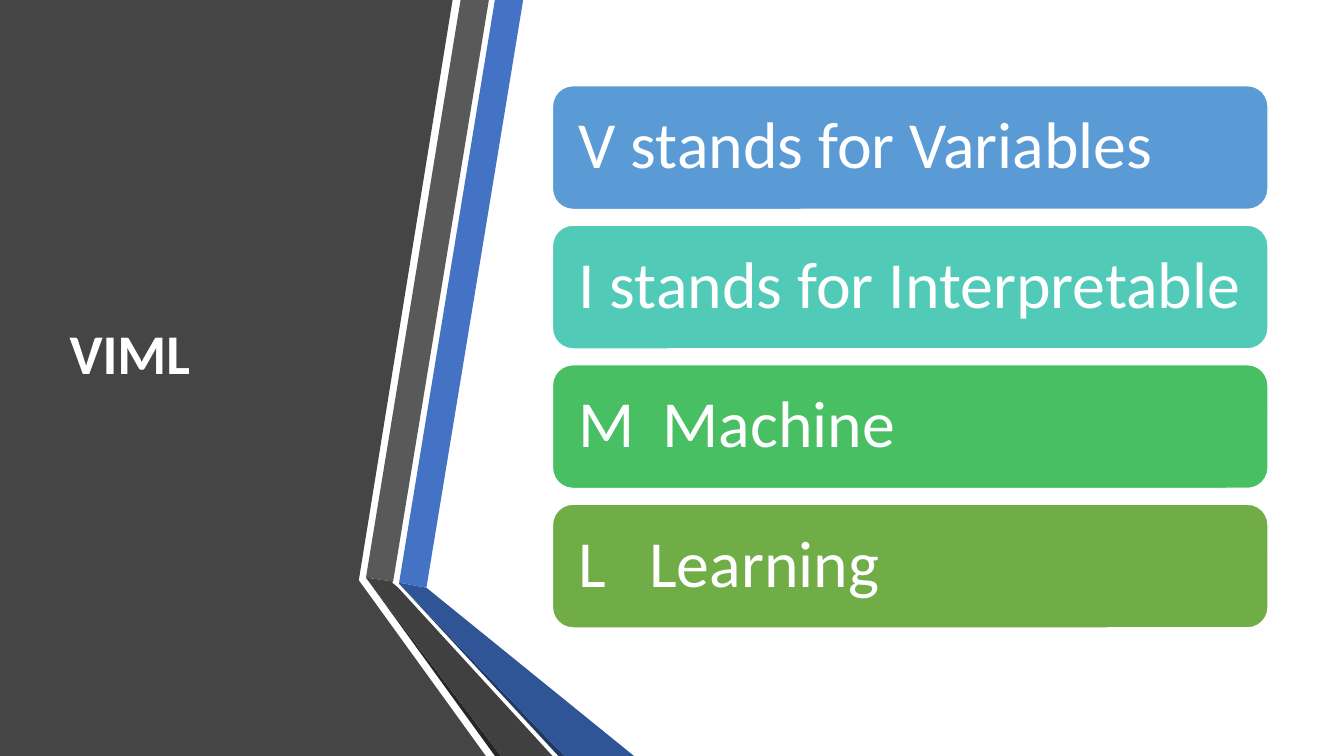
from collections import namedtuple
from lxml.etree import SubElement
from pptx import Presentation
from pptx.dml.color import RGBColor
from pptx.enum.shapes import MSO_SHAPE
from pptx.enum.text import MSO_ANCHOR, MSO_AUTO_SIZE, PP_ALIGN
from pptx.oxml.ns import qn
from pptx.util import Pt

Box = namedtuple("Box", "left top width height")

COLORS = {
    "white": "FFFFFF", "panel": "454545",
    "blue": "4472C4", "blue_fold": "2F5597", "blue_edge": "203864",
    "grey": "595959", "grey_fold": "404040", "grey_edge": "262626",
    "variables": "5B9BD5", "interpretable": "52CAB8",
    "machine": "49BF64", "learning": "70AD47",
}

PANEL = [(0, 0), (323.3, 0), (256.3, 414.5), (347, 540), (0, 540)]
RIBBONS = [
    ("blue", [(285.1, 416.2), (304.6, 419.8), (373.7, 0), (353.5, 0)]),
    ("grey", [(349.2, 0), (329, 0), (261.4, 412.6), (280.8, 415.4)]),
    ("grey_edge", [(261.4, 412.6), (353.5, 540), (357.8, 540)]),
    ("blue_edge", [(285.1, 416.9), (398.9, 540), (403.2, 540)]),
    ("blue_fold", [(285.1, 416.9), (403.2, 540), (452.9, 540),
                   (304.6, 419.8), (285.1, 416.2)]),
    ("grey_fold", [(394.6, 540), (284.4, 419.8), (280.1, 416.2),
                   (280.8, 415.4), (261.4, 412.6), (357.8, 540)]),
]
LETTERS = [
    ("variables", "V stands for Variables", None),
    ("interpretable", "I stands for Interpretable", None),
    ("machine", "M\tMachine", 60),
    ("learning", "L\tLearning", 50.5),
]


def color(name):
    return RGBColor.from_string(COLORS[name])


def fill_shape(shape, name):
    shape.shadow.inherit = False
    shape.fill.solid()
    shape.fill.fore_color.rgb = color(name)


def add_outline(page, box, name, points):
    corners = [(Pt(box.left + x), Pt(box.top + y)) for x, y in points]
    builder = page.shapes.build_freeform(*corners[0])
    builder.add_line_segments(corners[1:], close=True)
    shape = builder.convert_to_shape()
    fill_shape(shape, name)
    shape.line.fill.background()


def format_paragraph(para, size, bold):
    para.alignment = PP_ALIGN.LEFT
    para.line_spacing = 0.9
    para.font.name = "Calibri"
    para.font.size = Pt(size)
    para.font.bold = bold
    para.font.color.rgb = color("white")


def add_backdrop(page, box):
    add_outline(page, box, "panel", PANEL)
    for name, points in RIBBONS:
        add_outline(page, box, name, points)


def place_title(page, box, text):
    title = page.shapes.title
    title.left, title.top, title.width, title.height = map(Pt, box)
    frame = title.text_frame
    frame.text = text
    frame.word_wrap = True
    frame.auto_size = MSO_AUTO_SIZE.NONE
    frame.vertical_anchor = MSO_ANCHOR.MIDDLE
    format_paragraph(frame.paragraphs[0], 40, True)
    title.element.getparent().append(title.element)


def add_letter_bars(page, box, gap):
    height = (box.height - gap * (len(LETTERS) - 1)) / len(LETTERS)
    for index, (name, text, tab) in enumerate(LETTERS):
        top = box.top + index * (height + gap)
        bar = page.shapes.add_shape(
            MSO_SHAPE.ROUNDED_RECTANGLE,
            Pt(box.left), Pt(top), Pt(box.width), Pt(height))
        fill_shape(bar, name)
        bar.line.color.rgb = color("white")
        bar.line.width = Pt(1)
        frame = bar.text_frame
        frame.word_wrap = True
        frame.vertical_anchor = MSO_ANCHOR.MIDDLE
        frame.margin_left = Pt(14.4)
        frame.margin_right = frame.margin_top = frame.margin_bottom = Pt(0)
        para = frame.paragraphs[0]
        para.add_run().text = text
        para.line_spacing = 0.9
        if tab:
            stops = SubElement(para._p.get_or_add_pPr(), qn("a:tabLst"))
            SubElement(stops, qn("a:tab"), pos=str(Pt(tab)), algn="l")
        format_paragraph(para, 47, False)


deck = Presentation()
deck.slide_width, deck.slide_height = Pt(960), Pt(540)
page = deck.slides.add_slide(deck.slide_layouts[5])
page.background.fill.solid()
page.background.fill.fore_color.rgb = color("white")
add_backdrop(page, Box(0, 0, 960, 540))
place_title(page, Box(42.5, 54, 218.9, 401.8), "VIML")
add_letter_bars(page, Box(394.6, 61.2, 511.2, 387.4), 11.2)
deck.save("out.pptx")
